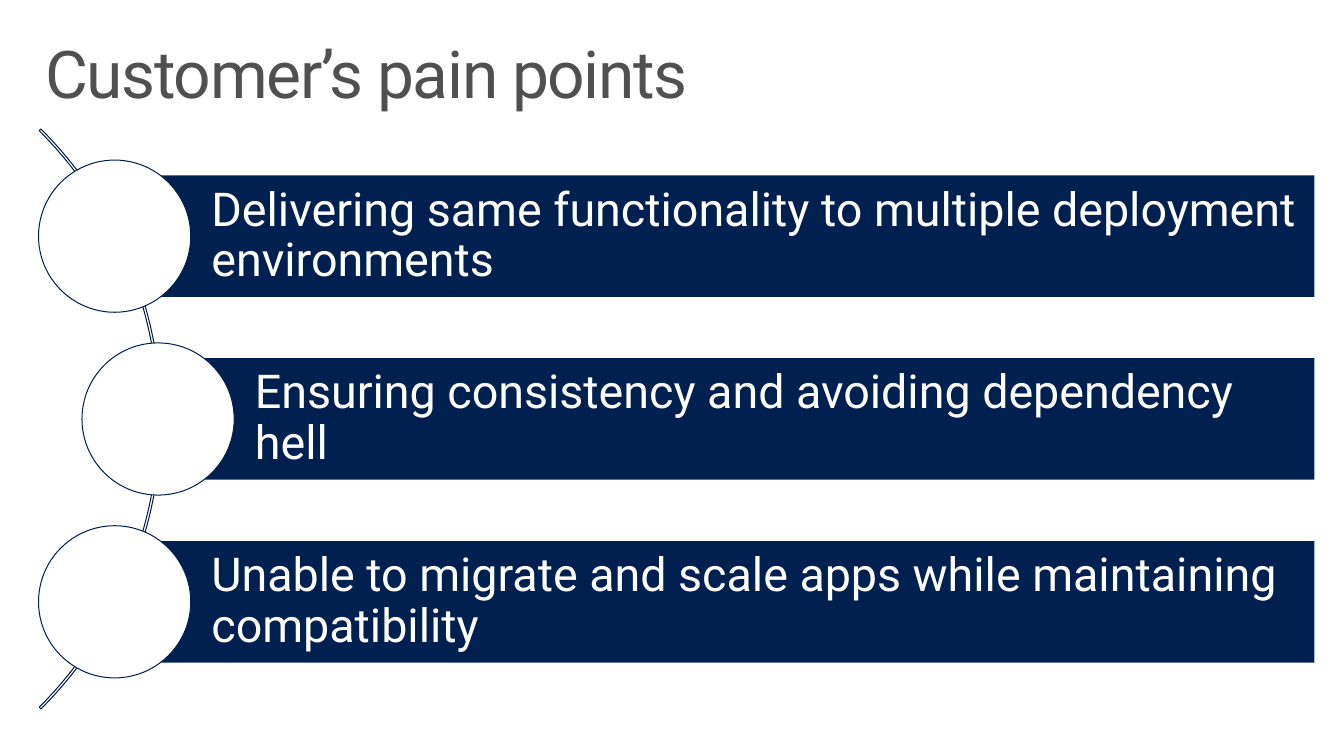
from pptx import Presentation
from pptx.dml.color import RGBColor
from pptx.enum.shapes import MSO_SHAPE
from pptx.enum.text import MSO_ANCHOR, PP_ALIGN
from pptx.util import Inches, Pt

NAVY, ARC_NAVY, WHITE, GRAY = "002050", "001A40", "FFFFFF", "505050"
PAIN_POINTS = [
    ("Delivering same functionality to multiple deployment environments", 0),
    ("Ensuring consistency and avoiding dependency hell", 0.44),
    ("Unable to migrate and scale apps while maintaining compatibility", 0),
]


def color(hex_value):
    """Return the colour for a hex string."""
    return RGBColor.from_string(hex_value)


def write_text(frame, text, size, hex_value, margins, anchor):
    """Fill a text frame with one left-aligned paragraph."""
    frame.word_wrap = True
    frame.vertical_anchor = anchor
    (frame.margin_left, frame.margin_top,
     frame.margin_right, frame.margin_bottom) = map(Inches, margins)
    paragraph = frame.paragraphs[0]
    paragraph.text = text
    paragraph.alignment = PP_ALIGN.LEFT
    paragraph.line_spacing = 0.9
    paragraph.font.name = "Roboto"
    paragraph.font.size = Pt(size)
    paragraph.font.color.rgb = color(hex_value)
    return paragraph


def add_figure(slide, kind, left, top, width, height, fill=None, line=None):
    """Add a shadowless preset shape with an optional fill and outline."""
    figure = slide.shapes.add_shape(
        kind, Inches(left), Inches(top), Inches(width), Inches(height))
    figure.shadow.inherit = False
    if fill:
        figure.fill.solid()
        figure.fill.fore_color.rgb = color(fill)
    else:
        figure.fill.background()
    if line:
        figure.line.color.rgb = color(line)
        figure.line.width = Pt(0.75)
    else:
        figure.line.fill.background()
    return figure


def add_title(slide, left, top, width, height):
    """Place the slide title in its box."""
    title = slide.shapes.add_textbox(
        Inches(left), Inches(top), Inches(width), Inches(height))
    heading = write_text(title.text_frame, "Customer’s pain points", 48, GRAY,
                         (0.16, 0.1, 0.16, 0.1), MSO_ANCHOR.TOP)
    heading.runs[0].font._element.set("spc", "-100")


def add_pain_points(slide, left, top, width, height):
    """Place the curved spine and one bar with a circle per pain point."""
    arc_size, circle_size, bar_height, pitch = 8.3, 1.54, 1.23, 1.85
    middle = top + height / 2
    spine = add_figure(slide, MSO_SHAPE.BLOCK_ARC, left - 7.06,
                       middle - arc_size / 2, arc_size, arc_size, line=ARC_NAVY)
    for index, value in enumerate((189, 27, 0.003)):
        spine.adjustments[index] = value

    for row, (pain_point, indent) in enumerate(PAIN_POINTS):
        row_middle = middle + (row - (len(PAIN_POINTS) - 1) / 2) * pitch
        circle_left = left + indent
        bar_left = circle_left + circle_size / 2
        bar = add_figure(slide, MSO_SHAPE.RECTANGLE, bar_left,
                         row_middle - bar_height / 2,
                         left + width - bar_left, bar_height, fill=NAVY)
        write_text(bar.text_frame, pain_point, 34, WHITE,
                   (0.98, 0.09, 0.09, 0.09), MSO_ANCHOR.MIDDLE)
        add_figure(slide, MSO_SHAPE.OVAL, circle_left,
                   row_middle - circle_size / 2, circle_size, circle_size,
                   fill=WHITE, line=NAVY)


def main():
    """Build and save the slide."""
    deck = Presentation()
    deck.slide_width, deck.slide_height = Inches(13.6), Inches(7.65)
    slide = deck.slides.add_slide(deck.slide_layouts[6])
    add_title(slide, 0.3, 0.32, 13, 1)
    add_pain_points(slide, 0.39, 1.31, 12.91, 5.86)
    deck.save("out.pptx")


if __name__ == "__main__":
    main()
